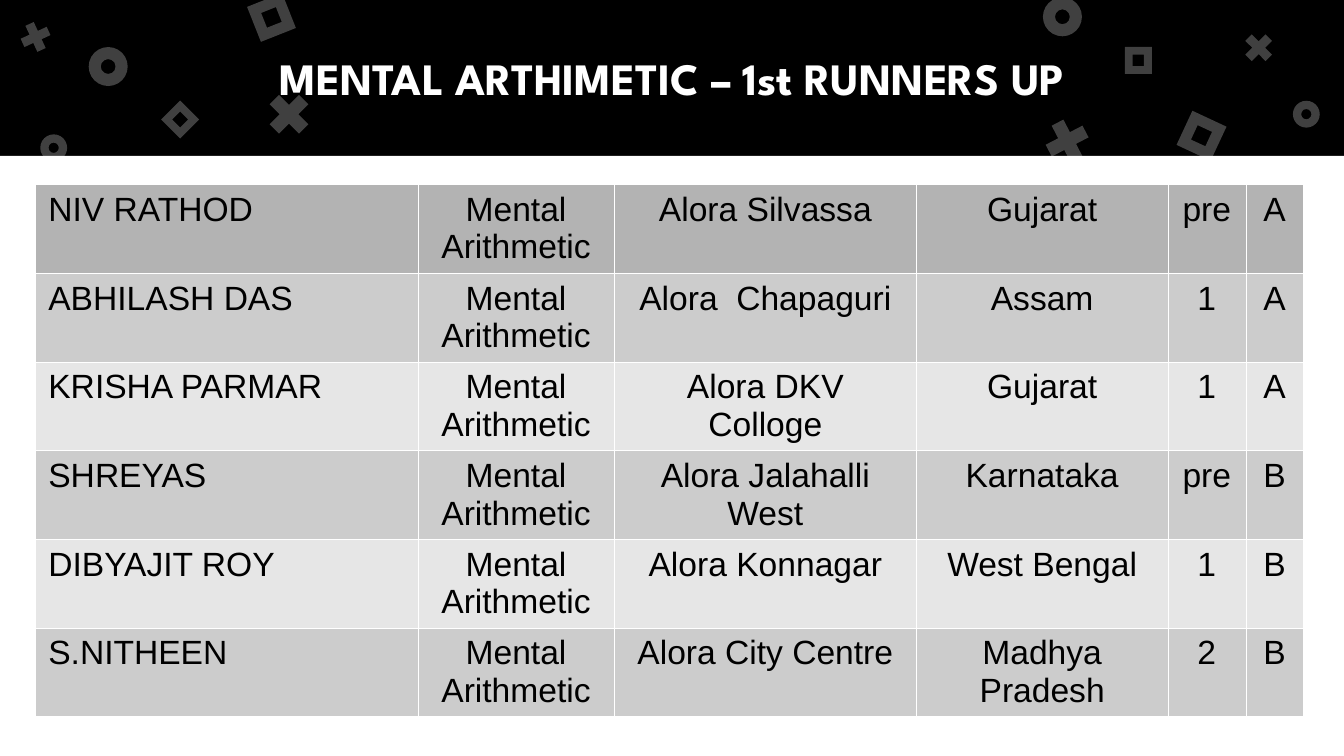
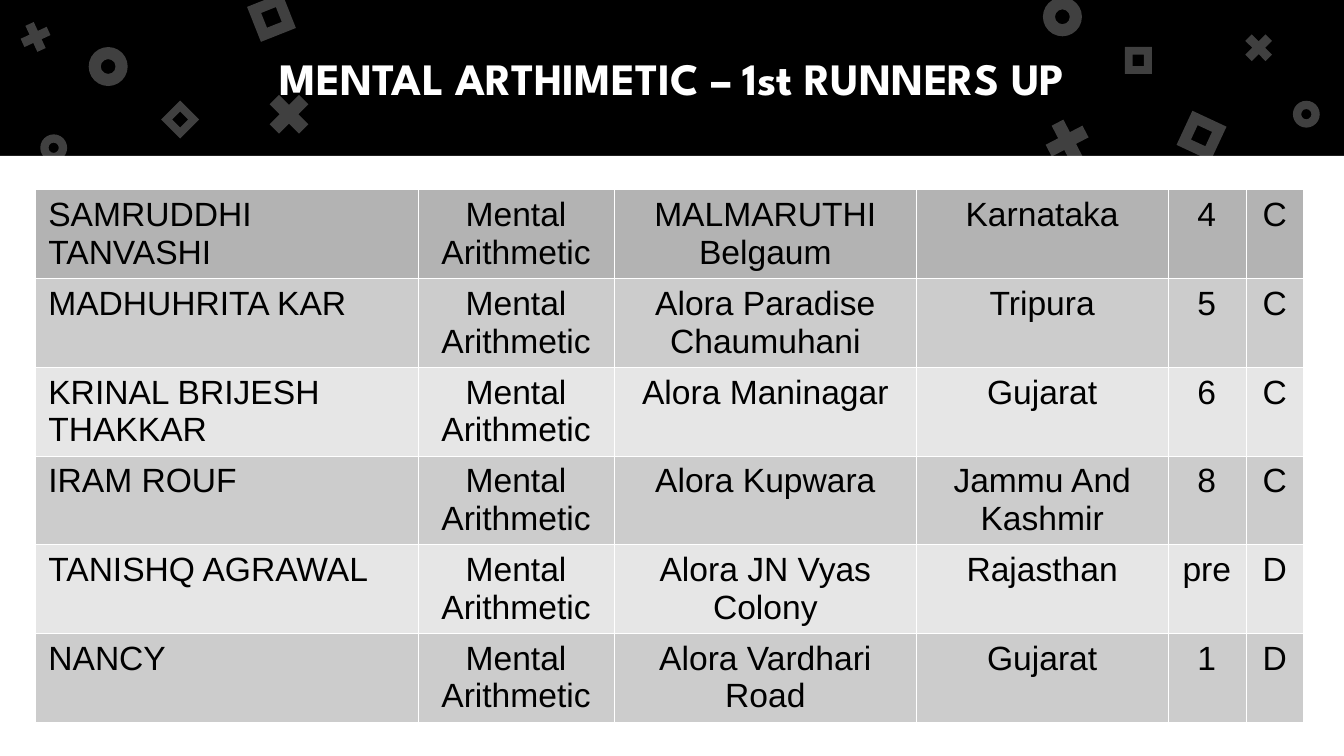
"""Build two slides listing the first runners-up in mental arithmetic."""
from lxml.etree import SubElement
from pptx import Presentation
from pptx.dml.color import RGBColor
from pptx.enum.shapes import MSO_SHAPE
from pptx.enum.text import MSO_ANCHOR, PP_ALIGN
from pptx.oxml.ns import qn
from pptx.util import Inches, Pt

TITLE = "MENTAL ARTHIMETIC – 1st RUNNERS UP"
COURSE = "Mental Arithmetic"
WHITE, BLACK, GREEN = "FFFFFF", "000000", "7BD100"
HEAD, DARK, LIGHT = "B3B3B3", "CCCCCC", "E6E6E6"
WIDE = Inches(10)
HIGH = WIDE * 9 // 16
BAND = Inches(1.16)
WIDTHS = [2.85, 1.46, 2.25, 1.87, 0.58, 0.43]
ROW = 0.66

RING = (MSO_SHAPE.DONUT, 0.31)
CROSS = (MSO_SHAPE.MATH_MULTIPLY, 0.235)
FRAME = (MSO_SHAPE.FRAME, 0.289)
MARKS = [
    (RING, 0.66, 0.35, 0.29, 0),
    (CROSS, 1.94, 0.64, 0.42, 0),
    (FRAME, 1.88, -0.01, 0.28, 338.4),
    (RING, 7.76, -0.02, 0.29, 0),
    (CROSS, 7.73, 0.84, 0.42, 17.5),
    (FRAME, 8.8, 0.87, 0.28, 25),
    (RING, 0.3, 1, 0.2, 0),
    (CROSS, 0.12, 0.13, 0.29, 20.4),
    (FRAME, 1.24, 0.79, 0.2, 45),
    (RING, 9.62, 0.75, 0.2, 0),
    (CROSS, 9.22, 0.21, 0.29, 0),
    (FRAME, 8.37, 0.35, 0.2, 0),
]

PAGES = [
    (1.37, [
        ("NIV RATHOD", "Alora Silvassa", "Gujarat", "pre", "A"),
        ("ABHILASH DAS", "Alora  Chapaguri", "Assam", "1", "A"),
        ("KRISHA PARMAR", "Alora DKV Colloge", "Gujarat", "1", "A"),
        ("SHREYAS", "Alora Jalahalli West", "Karnataka", "pre", "B"),
        ("DIBYAJIT ROY", "Alora Konnagar", "West Bengal", "1", "B"),
        ("S.NITHEEN", "Alora City Centre", "Madhya Pradesh", "2", "B"),
    ]),
    (1.41, [
        ("SAMRUDDHI TANVASHI", "MALMARUTHI Belgaum", "Karnataka", "4", "C"),
        ("MADHUHRITA KAR", "Alora Paradise Chaumuhani", "Tripura", "5", "C"),
        ("KRINAL BRIJESH THAKKAR", "Alora Maninagar", "Gujarat", "6", "C"),
        ("IRAM ROUF", "Alora Kupwara", "Jammu And Kashmir", "8", "C"),
        ("TANISHQ AGRAWAL", "Alora JN Vyas Colony", "Rajasthan", "pre", "D"),
        ("NANCY", "Alora Vardhari Road", "Gujarat", "1", "D"),
    ]),
]


def paint(fill, color):
    fill.solid()
    fill.fore_color.rgb = RGBColor.from_string(color)


def write(frame, text, font="Arial", size=18, color=BLACK, bold=False, align=PP_ALIGN.CENTER):
    para = frame.paragraphs[0]
    para.alignment = align
    run = para.add_run()
    run.text = text
    run.font.name = font
    run.font.size = Pt(size)
    run.font.bold = bold
    run.font.color.rgb = RGBColor.from_string(color)


deck = Presentation()
deck.slide_width, deck.slide_height = WIDE, HIGH
layout = deck.slide_layouts[5]
paint(layout.background.fill, GREEN)
for spot in list(layout.placeholders)[1:]:
    layout.shapes.element.remove(spot.element)
slides = [deck.slides.add_slide(layout) for page in PAGES]

decor = []
for top, height, color in [(0, BAND, BLACK), (BAND, HIGH - BAND, WHITE)]:
    band = slides[0].shapes.add_shape(MSO_SHAPE.RECTANGLE, 0, top, WIDE, height)
    paint(band.fill, color)
    decor.append(band)
for (kind, ratio), left, top, size, turn in MARKS:
    mark = slides[0].shapes.add_shape(
        kind, Inches(left), Inches(top), Inches(size), Inches(size))
    mark.adjustments[0] = ratio
    mark.rotation = turn
    paint(mark.fill, WHITE)
    tint = mark.element.spPr.find(qn("a:solidFill"))[0]
    SubElement(tint, qn("a:alpha"), val="25000")
    decor.append(mark)
for shape in decor:
    shape.line.fill.background()
    shape.shadow.inherit = False
    layout.shapes.element.append(shape.element)

for slide, (top, rows) in zip(slides, PAGES):
    title = slide.shapes.title
    title.left, title.top = Inches(0.5), 0
    title.width, title.height = Inches(9), BAND
    frame = title.text_frame
    frame.word_wrap = True
    frame.vertical_anchor = MSO_ANCHOR.MIDDLE
    frame.margin_left = frame.margin_right = Inches(0.1)
    frame.margin_top = frame.margin_bottom = Inches(0.1)
    write(frame, TITLE, font="League Spartan", size=24, color=WHITE, bold=True)

    table = slide.shapes.add_table(
        len(rows), len(WIDTHS), Inches(0.26), Inches(top),
        Inches(sum(WIDTHS)), Inches(ROW * len(rows))).table
    for column, width in zip(table.columns, WIDTHS):
        column.width = Inches(width)
    for i, (name, *rest) in enumerate(rows):
        table.rows[i].height = Inches(ROW)
        shade = HEAD if i == 0 else DARK if i % 2 else LIGHT
        for j, text in enumerate([name, COURSE, *rest]):
            cell = table.cell(i, j)
            props = cell._tc.get_or_add_tcPr()
            for side in ("a:lnL", "a:lnR", "a:lnT", "a:lnB"):
                edge = SubElement(props, qn(side), w="762")
                SubElement(SubElement(edge, qn("a:solidFill")), qn("a:srgbClr"), val=WHITE)
            paint(cell.fill, shade)
            write(cell.text_frame, text, align=PP_ALIGN.CENTER if j else PP_ALIGN.LEFT)

deck.save("out.pptx")
